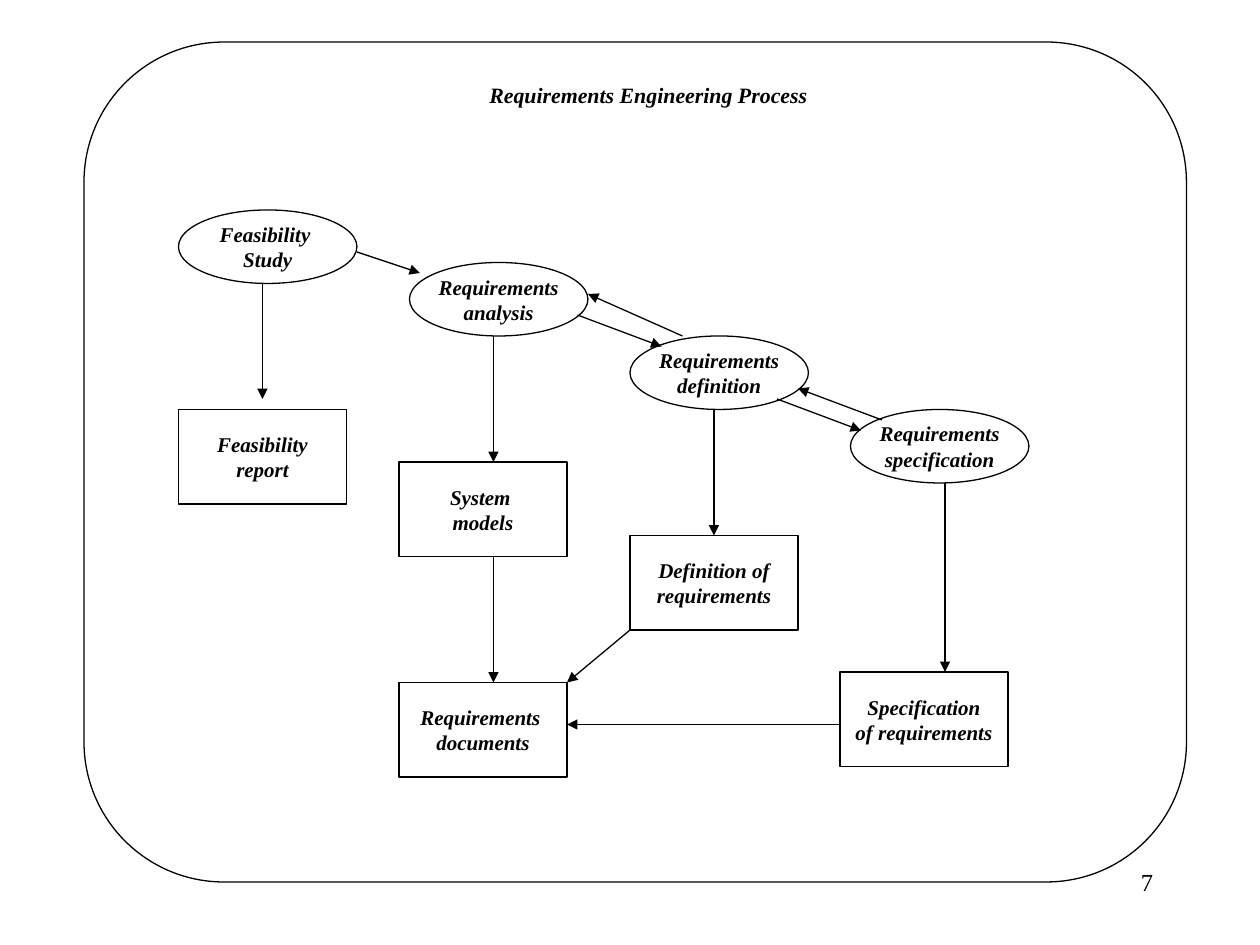
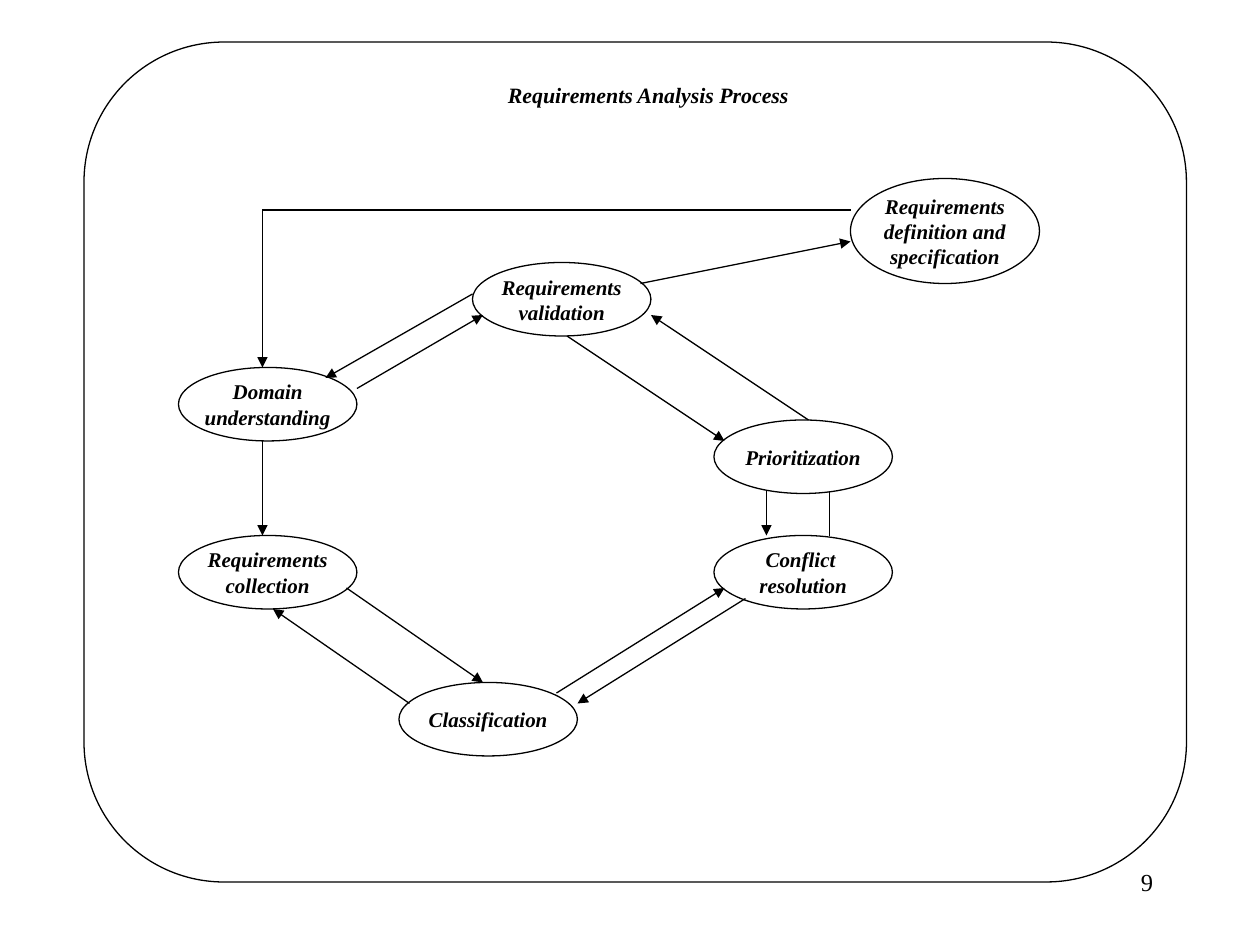
from lxml import etree
from pptx import Presentation
from pptx import util as u
from pptx.dml.color import RGBColor
from pptx.enum import shapes, text
from pptx.oxml import ns

BLACK = RGBColor(0, 0, 0)
WHITE = RGBColor(255, 255, 255)
FONT = "Times New Roman"
GRID_CM = 2.54 / 12
FRAME = (8, 4, 105, 80)
TITLE = (31, 7, 62, 4)
NUMBER = (86, 82, 25, 6)
OVAL, BOX = shapes.MSO_SHAPE.OVAL, shapes.MSO_SHAPE.RECTANGLE
OVAL_SIZE, LARGE_OVAL_SIZE, BOX_SIZE = (17, 7), (18, 10), (16, 9)

PAGES = [
    {
        "title": "Requirements Engineering Process ",
        "number": "7",
        "hidden_arrows": [],
        "nodes": [
            (OVAL, (17, 20), OVAL_SIZE, "Feasibility \nStudy"),
            (OVAL, (39, 25), OVAL_SIZE, "Requirements\nanalysis"),
            (OVAL, (60, 32), OVAL_SIZE, "Requirements\ndefinition"),
            (OVAL, (81, 39), OVAL_SIZE, "Requirements\nspecification"),
            (BOX, (17, 39), BOX_SIZE, "Feasibility\nreport"),
            (BOX, (38, 44), BOX_SIZE, "System \nmodels"),
            (BOX, (38, 65), BOX_SIZE, "Requirements \ndocuments"),
            (BOX, (60, 51), BOX_SIZE, "Definition of\nrequirements"),
            (BOX, (80, 64), BOX_SIZE, "Specification\nof requirements"),
        ],
        "arrows": [
            (34, 24, 40, 26), (55, 30, 63, 33), (65, 32, 56, 28),
            (74, 38, 82, 41), (84, 40, 76, 37), (25, 27, 25, 38),
            (47, 32, 47, 44), (47, 53, 47, 65), (68, 39, 68, 51),
            (90, 46, 90, 64), (80, 69, 54, 69), (60, 60, 54, 65),
        ],
        "plain_lines": [],
    },
    {
        "title": "Requirements Analysis Process ",
        "number": "9",
        "hidden_arrows": [(25, 40, 25, 51), (79, 51, 79, 45), (73, 45, 73, 51)],
        "nodes": [
            (OVAL, (17, 51), OVAL_SIZE, "Requirements\ncollection"),
            (OVAL, (45, 25), OVAL_SIZE, "Requirements\nvalidation"),
            (OVAL, (81, 17), LARGE_OVAL_SIZE, "Requirements\ndefinition and\nspecification"),
            (OVAL, (17, 35), OVAL_SIZE, "Domain\nunderstanding"),
            (OVAL, (38, 65), OVAL_SIZE, "Classification"),
            (OVAL, (68, 51), OVAL_SIZE, "Conflict \nresolution"),
            (OVAL, (68, 40), OVAL_SIZE, "Prioritization"),
        ],
        "arrows": [
            (34, 37, 46, 30), (33, 56, 46, 65), (39, 67, 26, 58),
            (45, 28, 31, 36), (54, 32, 69, 42), (77, 40, 62, 30),
            (61, 27, 81, 23), (25, 20, 25, 35), (53, 66, 69, 56),
            (71, 57, 55, 67),
        ],
        "plain_lines": [(81, 20, 25, 20)],
    },
]


def write(shape, words, size, align, anchor, wrap, strong=True):
    frame = shape.text_frame
    frame.text = words
    frame.word_wrap = wrap
    frame.vertical_anchor = anchor
    for para in frame.paragraphs:
        para.alignment = align
        for span in para.runs:
            span.font.name = FONT
            span.font.size = u.Pt(size)
            span.font.bold = span.font.italic = strong
            span.font.color.rgb = BLACK


def draw_line(page, ends, arrow=True):
    line = page.shapes.add_connector(
        shapes.MSO_CONNECTOR.STRAIGHT, *[u.Cm(n * GRID_CM) for n in ends])
    line.line.color.rgb = BLACK
    line.line.width = u.Pt(0.75)
    if arrow:
        etree.SubElement(line.line._get_or_add_ln(), ns.qn("a:tailEnd"), type="triangle")
    etree.SubElement(line._element.spPr, ns.qn("a:effectLst"))
    return line


deck = Presentation()
deck.slide_width, deck.slide_height = u.Cm(25.4), u.Cm(19.05)
CENTER, RIGHT = text.PP_ALIGN.CENTER, text.PP_ALIGN.RIGHT
MIDDLE, TOP = text.MSO_ANCHOR.MIDDLE, text.MSO_ANCHOR.TOP

for content in PAGES:
    page = deck.slides.add_slide(deck.slide_layouts[6])

    frame = page.shapes.add_shape(
        shapes.MSO_SHAPE.FLOWCHART_ALTERNATE_PROCESS, *[u.Cm(n * GRID_CM) for n in FRAME])
    frame.shadow.inherit = False
    frame.fill.background()
    frame.line.color.rgb = BLACK
    frame.line.width = u.Pt(0.75)

    title = page.shapes.add_textbox(*[u.Cm(n * GRID_CM) for n in TITLE])
    write(title, content["title"], 12.5, CENTER, MIDDLE, True)

    for ends in content["hidden_arrows"]:
        draw_line(page, ends)

    box_tops = {}
    for kind, (left, top), (width, height), words in content["nodes"]:
        node = page.shapes.add_shape(
            kind, *[u.Cm(n * GRID_CM) for n in (left, top, width, height)])
        node.shadow.inherit = False
        node.fill.solid()
        node.fill.fore_color.rgb = WHITE
        node.line.color.rgb = BLACK
        node.line.width = u.Pt(0.75)
        write(node, words, 12, CENTER, MIDDLE, False)
        if kind == BOX:
            box_tops[left + width / 2, top] = node

    for ends in content["arrows"]:
        arrow = draw_line(page, ends)
        if ends[2:] in box_tops:
            arrow.end_connect(box_tops[ends[2:]], 0)

    for ends in content["plain_lines"]:
        draw_line(page, ends, arrow=False)

    number = page.shapes.add_textbox(*[u.Cm(n * GRID_CM) for n in NUMBER])
    write(number, content["number"], 14, RIGHT, TOP, True, strong=False)

deck.save("out.pptx")
